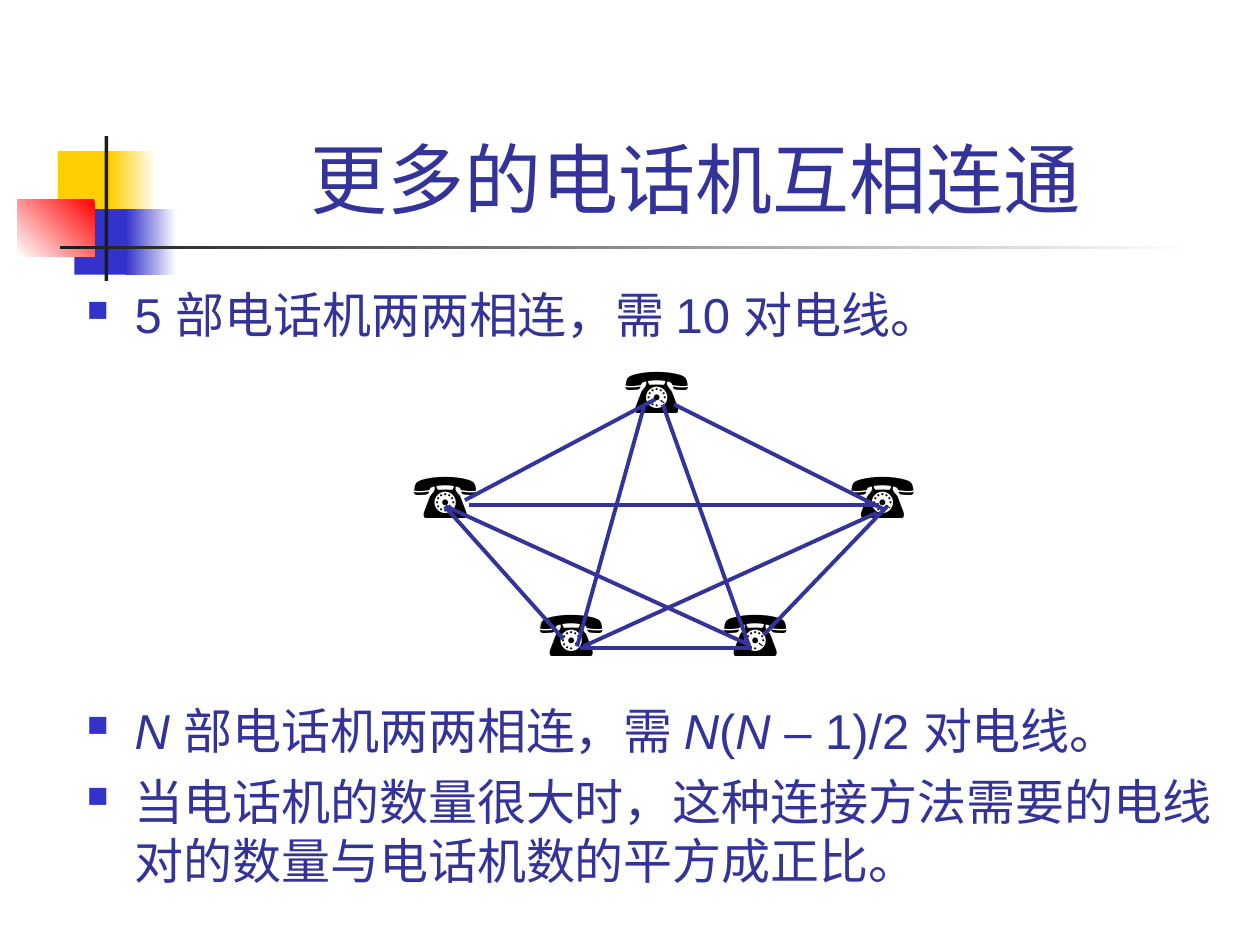
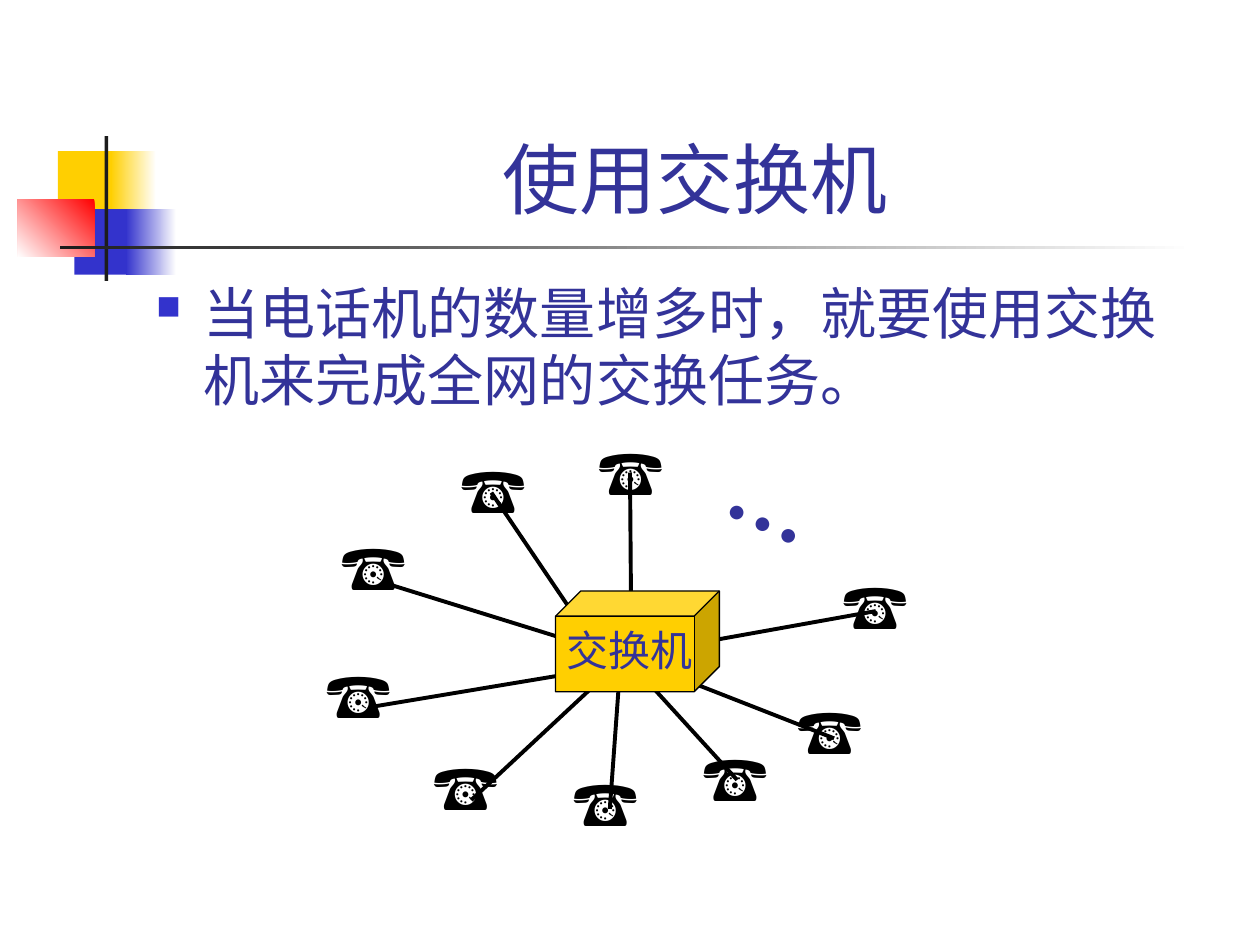
from lxml import etree
from pptx import Presentation
from pptx.dml import color as dml
from pptx.enum import shapes, text
from pptx.oxml import ns
from pptx.util import Emu, Pt

SCALE = 9144
BULLET_INDENT = 38
COLORS = {
    "ink": "333399",
    "blue": "3333CC",
    "yellow": "FFCF01",
    "red": "FF0000",
    "dark": "1C1C1C",
    "black": "000000",
    "white": "FFFFFF",
}


def px(length):
    return Emu(length * SCALE)


def rgb(name):
    return dml.RGBColor.from_string(COLORS[name])


def write(para, words, size=28, font="Arial", color="ink", bold=False, italic=False):
    span = para.add_run()
    span.text = words
    span.font.size = Pt(size)
    span.font.name = font
    span.font.bold = bold
    span.font.italic = italic
    span.font.color.rgb = rgb(color)


class Painter:
    def __init__(self, deck):
        self.deck = deck
        self.page = None

    def new_page(self, title):
        self.page = self.deck.slides.add_slide(self.deck.slide_layouts[6])
        self.block(46, 120, 48, 52, "yellow")
        self.block(88, 120, 36, 52, ("white", "yellow"), 180)
        self.block(59, 166, 46, 52, "blue")
        self.block(100, 166, 40, 52, ("white", "blue"), 180)
        self.block(14, 158, 61, 46, ("red", "white"), 225)
        self.block(83, 108, 3, 115, "dark")
        self.block(48, 195, 900, 3, ("white", "dark"), 180)
        frame = self.frame(126, 23, 852, 160)
        frame.vertical_anchor = text.MSO_ANCHOR.BOTTOM
        para = frame.paragraphs[0]
        para.alignment = text.PP_ALIGN.CENTER
        write(para, title, size=44)

    def block(self, left, top, width, height, fill, angle=0,
              kind=shapes.MSO_SHAPE.RECTANGLE, outline=None):
        box = self.page.shapes.add_shape(kind, px(left), px(top), px(width), px(height))
        box.shadow.inherit = False
        if isinstance(fill, tuple):
            box.fill.gradient()
            box.fill.gradient_angle = angle
            for stop, name in zip(box.fill.gradient_stops, fill):
                stop.color.rgb = rgb(name)
        else:
            box.fill.solid()
            box.fill.fore_color.rgb = rgb(fill)
        if outline:
            box.line.color.rgb = rgb(outline)
            box.line.width = Pt(0.75)
        else:
            box.line.fill.background()

    def frame(self, left, top, width, height):
        box = self.page.shapes.add_textbox(px(left), px(top), px(width), px(height))
        box.text_frame.word_wrap = True
        return box.text_frame

    def label(self, left, top, width, height, words, turn=0, **style):
        box = self.page.shapes.add_textbox(px(left), px(top), px(width), px(height))
        box.rotation = turn
        box.text_frame.word_wrap = False
        box.text_frame.auto_size = text.MSO_AUTO_SIZE.SHAPE_TO_FIT_TEXT
        write(box.text_frame.paragraphs[0], words, **style)

    def phones(self, places):
        for left, top in places:
            self.label(left, top, 85, 70, "☎", size=36, color="black")

    def bullets(self, left, top, width, height, items, size):
        frame = self.frame(left, top, width, height)
        for number, (gap, spans) in enumerate(items):
            para = frame.add_paragraph() if number else frame.paragraphs[0]
            para.space_before = Pt(gap)
            props = para._p.get_or_add_pPr()
            props.set("marL", str(px(BULLET_INDENT)))
            props.set("indent", str(-px(BULLET_INDENT)))
            tint = etree.SubElement(props, ns.qn("a:buClr"))
            etree.SubElement(tint, ns.qn("a:srgbClr"), val=COLORS["blue"])
            etree.SubElement(props, ns.qn("a:buSzPct"), val="60000")
            etree.SubElement(props, ns.qn("a:buChar"), char="■")
            for words, italic in spans:
                write(para, words, size=size, italic=italic)

    def wires(self, ends, color):
        for points in ends:
            wire = self.page.shapes.add_connector(
                shapes.MSO_CONNECTOR.STRAIGHT, *(px(point) for point in points))
            wire.line.color.rgb = rgb(color)
            wire.line.width = Pt(2.25)
            etree.SubElement(wire._element.spPr, ns.qn("a:effectLst"))


def draw_mesh(painter):
    painter.new_page("更多的电话机互相连通")
    painter.bullets(59, 221, 941, 529, [
        (7, [("5 部电话机两两相连，需 10 对电线。", False)]),
        (204, [("N ", True), ("部电话机两两相连，需 ", False), ("N", True),
               ("(", False), ("N", True), (" – 1)/2 对电线。", False)]),
        (7, [("当电话机的数量很大时，这种连接方法需要的电线对的数量与电话机数的平方成正比。", False)]),
    ], size=28)
    painter.phones([(486, 273), (318, 357), (418, 466), (665, 357), (564, 466)])
    painter.wires([
        (369, 397, 520, 317), (535, 321, 703, 405), (353, 402, 447, 507),
        (460, 514, 597, 514), (606, 504, 704, 402), (526, 321, 595, 514),
        (511, 323, 458, 513), (372, 401, 698, 401), (354, 402, 595, 512),
        (463, 513, 696, 407),
    ], "ink")


def draw_switch(painter):
    painter.new_page("使用交换机")
    painter.bullets(114, 216, 850, 450, [
        (8, [("当电话机的数量增多时，就要使用交换机来完成全网的交换任务。", False)]),
    ], size=32)
    painter.label(571, 351, 86, 90, "…", turn=24.3, size=48,
                  font="Times New Roman", bold=True)
    painter.wires([
        (662, 586, 524, 532), (484, 642, 492, 532),
        (295, 561, 469, 532), (390, 391, 457, 490),
    ], "black")
    painter.phones([(465, 338), (261, 414), (334, 588), (659, 445), (548, 581)])
    painter.wires([
        (501, 501, 500, 375), (539, 513, 695, 485), (303, 462, 464, 512),
        (374, 635, 476, 540), (585, 619, 492, 517),
    ], "black")
    painter.phones([(249, 515), (356, 353), (445, 601), (623, 544)])
    painter.block(441, 469, 130, 80, "yellow", kind=shapes.MSO_SHAPE.CUBE, outline="black")
    painter.label(440, 491, 120, 50, "交换机", size=24, font="Times New Roman")


def main():
    deck = Presentation()
    deck.slide_width, deck.slide_height = px(1000), px(750)
    painter = Painter(deck)
    draw_mesh(painter)
    draw_switch(painter)
    deck.save("out.pptx")


if __name__ == "__main__":
    main()
